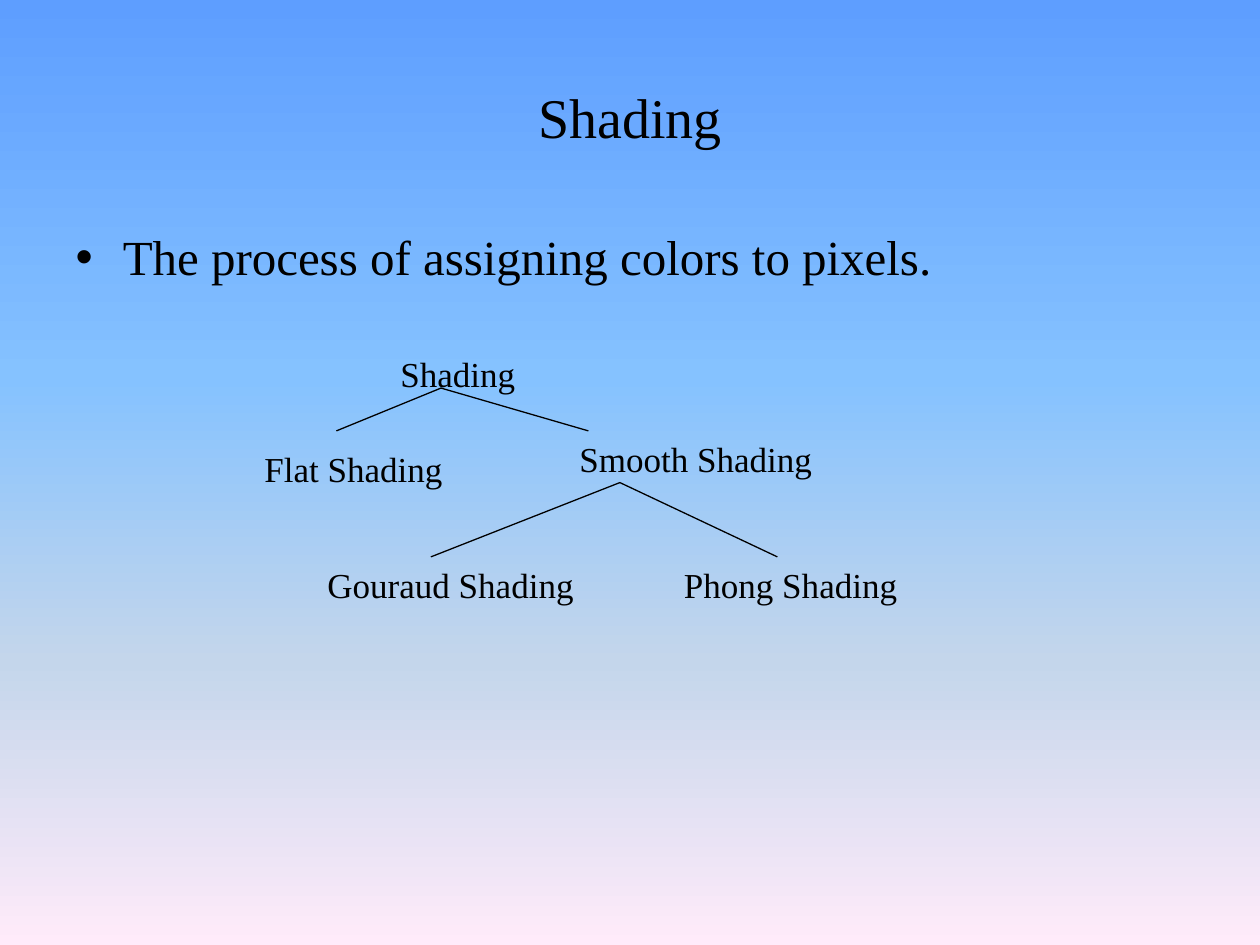
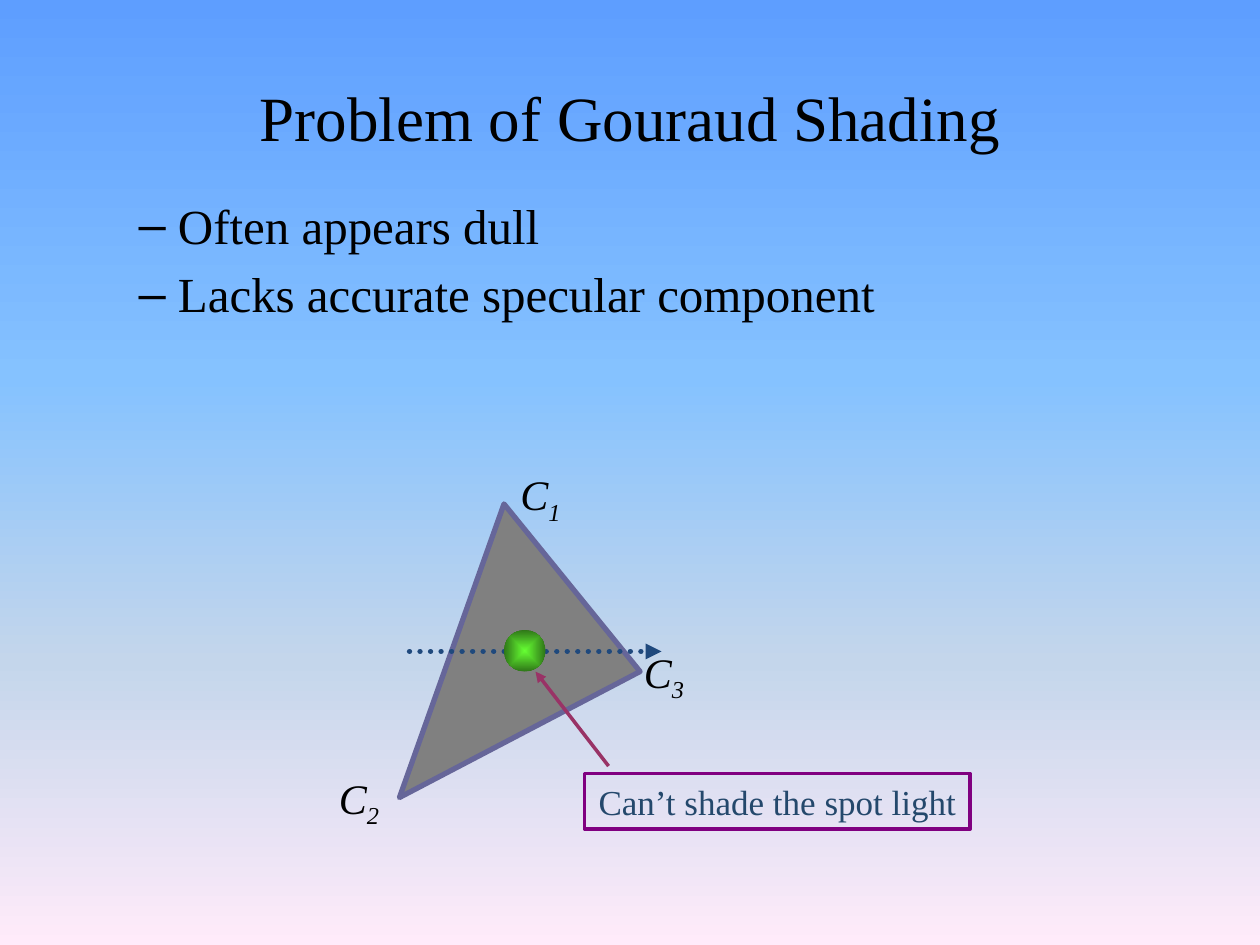
from lxml.etree import SubElement
from pptx import Presentation
from pptx.dml.color import RGBColor
from pptx.enum.dml import MSO_LINE
from pptx.enum.shapes import MSO_CONNECTOR, MSO_SHAPE
from pptx.enum.text import MSO_ANCHOR, MSO_AUTO_SIZE, PP_ALIGN
from pptx.oxml.ns import qn
from pptx.util import Inches, Pt

FONT = "Times New Roman"
BLACK = RGBColor(0x00, 0x00, 0x00)
GRAY = RGBColor(0x80, 0x80, 0x80)
SLATE = RGBColor(0x66, 0x66, 0x99)
NAVY = RGBColor(0x1F, 0x49, 0x7D)
STEEL = RGBColor(0x24, 0x48, 0x6C)
PLUM = RGBColor(0x99, 0x33, 0x66)
PURPLE = RGBColor(0x80, 0x00, 0x80)
LIME = RGBColor(0x66, 0xFF, 0x33)
FOREST = RGBColor(0x2F, 0x76, 0x18)
SKY = [(0, RGBColor(0x5E, 0x9E, 0xFF)), (40, RGBColor(0x85, 0xC2, 0xFF)),
       (70, RGBColor(0xC4, 0xD6, 0xEB)), (100, RGBColor(0xFF, 0xEB, 0xFA))]


def set_gradient(fill, element, stops, radial=False):
    """Fill with the stops, from top to bottom or from the centre outwards."""
    fill.gradient()
    grad = next(element.iter(qn("a:gradFill")))
    for child in list(grad):
        grad.remove(child)
    gs_list = SubElement(grad, qn("a:gsLst"))
    for percent, color in stops:
        gs = SubElement(gs_list, qn("a:gs"), pos=str(percent * 1000))
        SubElement(gs, qn("a:srgbClr"), val=str(color))
    if radial:
        shade = SubElement(grad, qn("a:path"), path="shape")
        SubElement(shade, qn("a:fillToRect"), l="50000", t="50000", r="50000", b="50000")
    else:
        SubElement(grad, qn("a:lin"), ang="5400000", scaled="1")


def format_runs(tf, size, color=BLACK, italic=None):
    for p in tf.paragraphs:
        for r in p.runs:
            r.font.name, r.font.size, r.font.italic = FONT, Pt(size), italic
            r.font.color.rgb = color


def place(sp, left, top, width, height):
    sp.left, sp.top, sp.width, sp.height = map(Inches, (left, top, width, height))


def add_text_slide(prs, title, title_size, items, level, body_box, auto_size):
    slide = prs.slides.add_slide(prs.slide_layouts[1])
    heading, body = slide.shapes.title, slide.placeholders[1]
    place(heading, 0.5, 0.3, 9, 1.25)
    heading.text_frame.text = title
    heading.text_frame.vertical_anchor = MSO_ANCHOR.MIDDLE
    format_runs(heading.text_frame, title_size)
    place(body, *body_box)
    tf = body.text_frame
    tf.text = "\n".join(items)
    tf.auto_size = auto_size
    for p in tf.paragraphs:
        p.level = level
    format_runs(tf, 28)
    return slide


def add_label(shapes, left, top, width, height, text, size, wrap=True, italic=None):
    sp = shapes.add_textbox(*map(Inches, (left, top, width, height)))
    tf = sp.text_frame
    tf.text = text
    tf.word_wrap = wrap
    tf.auto_size = MSO_AUTO_SIZE.SHAPE_TO_FIT_TEXT
    format_runs(tf, size, italic=italic)
    return sp


def add_line(shapes, start, end, color, width, arrow=False):
    line = shapes.add_connector(MSO_CONNECTOR.STRAIGHT, *map(Inches, start + end))
    line.line.color.rgb = color
    line.line.width = Pt(width)
    if arrow:
        SubElement(line.line._get_or_add_ln(), qn("a:tailEnd"), type="triangle")
    SubElement(line._element.spPr, qn("a:effectLst"))
    return line


def add_shading_tree(shapes, left, top):
    nodes = [("Shading", 1.08, 0), ("Flat Shading", 0, 0.75),
             ("Smooth Shading", 2.5, 0.67), ("Gouraud Shading", 0.5, 1.67),
             ("Phong Shading", 3.33, 1.67)]
    branches = [((1.5, 0.33), [(0.67, 0.67), (2.67, 0.67)]),
                ((2.92, 1.08), [(1.42, 1.67), (4.17, 1.67)])]
    for text, x, y in nodes:
        add_label(shapes, left + x, top + y, 2.33, 0.44, text, 20)
    for (x, y), ends in branches:
        for end_x, end_y in ends:
            add_line(shapes, (left + x, top + y), (left + end_x, top + end_y), BLACK, 0.75)


def add_corner_label(shapes, left, top, index):
    sp = add_label(shapes, left, top, 0.54, 0.5, "C", 24, wrap=False, italic=True)
    p = sp.text_frame.paragraphs[0]
    p.alignment = PP_ALIGN.CENTER
    r = p.add_run()
    r.text = str(index)
    format_runs(sp.text_frame, 24, italic=True)
    r.font._element.set("baseline", "-25000")


def add_callout(shapes, left, top, text):
    sp = shapes.add_shape(MSO_SHAPE.RECTANGLE, *map(Inches, (left, top, 3.06, 0.44)))
    sp.shadow.inherit = False
    sp.fill.background()
    sp.line.color.rgb = PURPLE
    sp.line.width = Pt(2)
    tf = sp.text_frame
    tf.text = text
    tf.word_wrap = False
    tf.auto_size = MSO_AUTO_SIZE.SHAPE_TO_FIT_TEXT
    tf.paragraphs[0].alignment = PP_ALIGN.CENTER
    format_runs(tf, 20, STEEL)


def add_spot_light_figure(slide, left, top):
    shapes = slide.shapes.add_group_shape().shapes

    def at(x, y):
        return left + x, top + y

    corners = [tuple(map(Inches, at(x, y)))
               for x, y in [(0.59, 2.66), (1.42, 0.33), (2.5, 1.66)]]
    builder = shapes.build_freeform(*corners[0])
    builder.add_line_segments(corners[1:], close=True)
    triangle = builder.convert_to_shape()
    triangle.shadow.inherit = False
    triangle.fill.solid()
    triangle.fill.fore_color.rgb = GRAY
    triangle.line.color.rgb = SLATE
    triangle.line.width = Pt(3)
    SubElement(triangle.line._get_or_add_ln(), qn("a:round"))

    for index, (x, y) in enumerate([(1.44, 0), (0, 2.41), (2.42, 1.41)], 1):
        add_corner_label(shapes, *at(x, y), index)

    scan_line = add_line(shapes, at(0.67, 1.5), at(2.67, 1.5), NAVY, 3, arrow=True)
    scan_line.line.dash_style = MSO_LINE.ROUND_DOT
    scan_line.line._get_or_add_ln().set("cap", "rnd")

    spot = shapes.add_shape(MSO_SHAPE.OVAL, *map(Inches, at(1.42, 1.33) + (0.33, 0.33)))
    spot.shadow.inherit = False
    set_gradient(spot.fill, spot._element, [(0, LIME), (100, FOREST)], radial=True)
    spot.line.fill.background()

    add_line(shapes, at(2.25, 2.41), at(1.67, 1.66), PLUM, 2, arrow=True)
    add_callout(shapes, *at(2.06, 2.47), "Can’t shade the spot light")


def main():
    prs = Presentation()
    prs.slide_width, prs.slide_height = Inches(10), Inches(7.5)
    master = prs.slide_master
    set_gradient(master.background.fill, master.element, SKY)

    slide = add_text_slide(prs, "Shading", 32, ["The process of assigning colors to pixels."],
                           0, (0.5, 1.75, 9, 0.57), MSO_AUTO_SIZE.SHAPE_TO_FIT_TEXT)
    add_shading_tree(slide.shapes, 2, 2.75)

    slide = add_text_slide(prs, "Problem of Gouraud Shading", 36,
                           ["Often appears dull", "Lacks accurate specular component"],
                           1, (0.5, 1.5, 9, 5.2), MSO_AUTO_SIZE.NONE)
    add_spot_light_figure(slide, 2.58, 3.67)

    prs.save("out.pptx")


if __name__ == "__main__":
    main()
